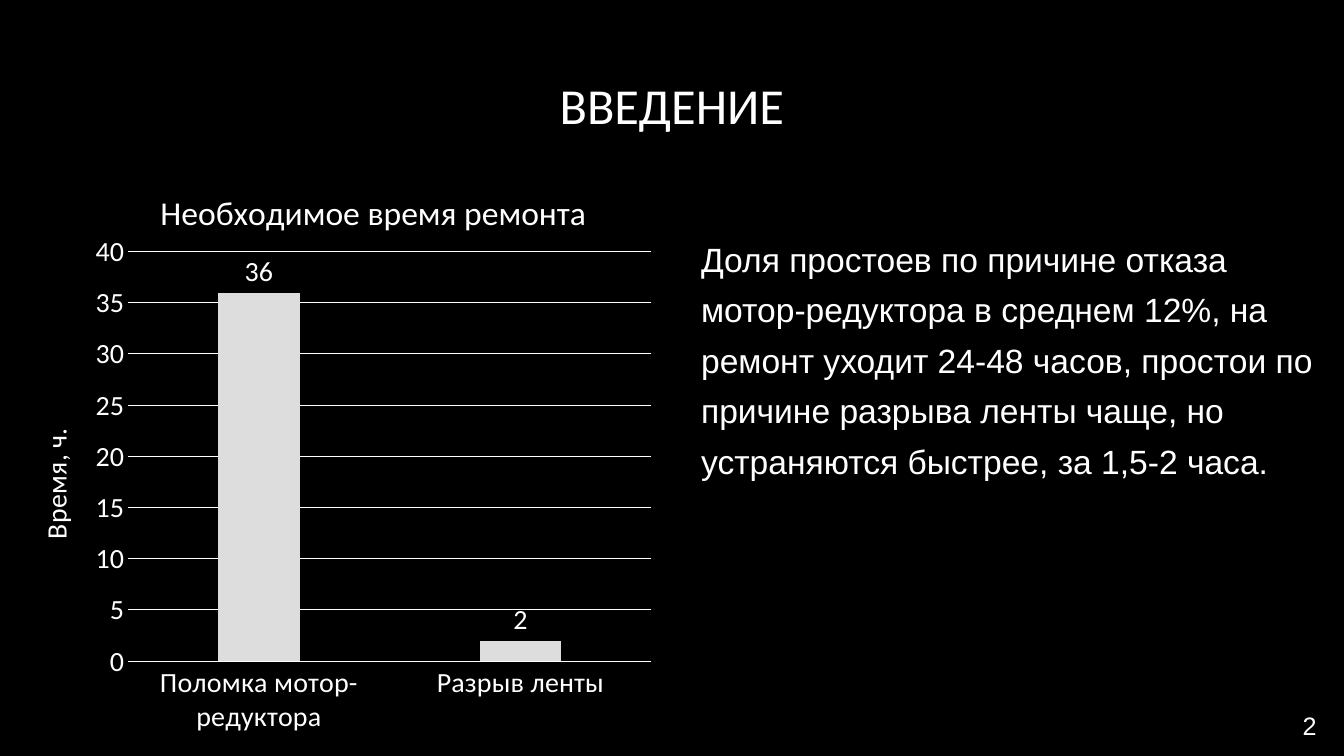
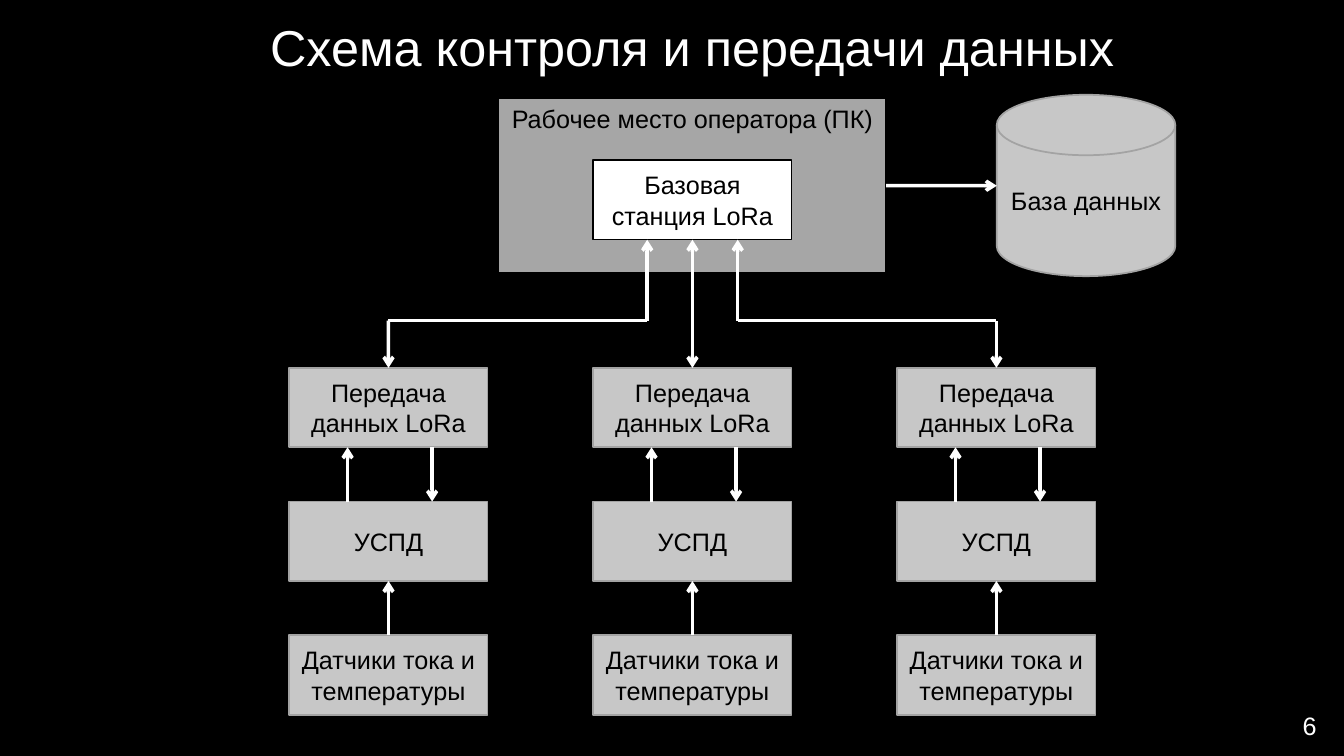
import collections

import pptx
import pptx.chart.data
import pptx.dml.color
import pptx.enum.chart
import pptx.enum.shapes
import pptx.enum.text
import pptx.oxml
import pptx.oxml.ns
import pptx.util
from pptx.util import Cm, Pt

COLORS = {
    "background": "000000",
    "light": "FFFFFF",
    "dark": "000000",
    "bar": "DDDDDD",
    "box": "C7C7C7",
    "box_edge": "A3A3A3",
    "workplace": "A6A6A6",
}
ALIGN = pptx.enum.text.PP_ALIGN
ANCHOR = pptx.enum.text.MSO_ANCHOR
SHAPE = pptx.enum.shapes.MSO_SHAPE
TOP, LEFT, BOTTOM, RIGHT = range(4)

Joint = collections.namedtuple("Joint", "box side")


def rgb(name):
    return pptx.dml.color.RGBColor.from_string(COLORS[name])


def add_child(parent, tag, **attributes):
    child = pptx.oxml.parse_xml(f"<{tag} {pptx.oxml.ns.nsdecls(tag.split(':')[0])}/>")
    for key, value in attributes.items():
        child.set(key, str(value))
    parent.append(child)
    return child


def set_layout(parent, index, **fractions):
    """Place a chart part by hand, in fractions of the chart frame."""
    for old in parent.findall(pptx.oxml.ns.qn("c:layout")):
        parent.remove(old)
    layout = add_child(parent, "c:layout")
    manual = add_child(layout, "c:manualLayout")
    if "w" in fractions:
        add_child(manual, "c:layoutTarget", val="inner")
    for mode in ("xMode", "yMode"):
        add_child(manual, f"c:{mode}", val="edge")
    for key, value in fractions.items():
        add_child(manual, f"c:{key}", val=value)
    parent.insert(index, layout)


class Deck:
    """Holds the shared style and the slide being drawn."""

    text_font = "Arial"
    chart_font = "Calibri"

    def __init__(self):
        self.presentation = pptx.Presentation()
        self.presentation.slide_width = Cm(33.87)
        self.presentation.slide_height = Cm(19.05)
        backdrop = self.presentation.slide_master.background.fill
        backdrop.solid()
        backdrop.fore_color.rgb = rgb("background")
        self.shapes = None

    def new_slide(self, number):
        layout = self.presentation.slide_layouts[6]
        self.shapes = self.presentation.slides.add_slide(layout).shapes
        self.text(str(number), (31.3, 17.77, 2.13, 1.02), 18,
                  align=ALIGN.RIGHT, anchor=ANCHOR.MIDDLE)

    def style_font(self, font, size, color="light", name=None):
        font.size = Pt(size)
        font.name = name or self.text_font
        font.color.rgb = rgb(color)

    def fill_frame(self, frame, words, size, color="light", font=None, align=ALIGN.LEFT,
                   anchor=ANCHOR.TOP, spacing=None, before=None):
        frame.word_wrap = True
        frame.vertical_anchor = anchor
        paragraph = frame.paragraphs[0]
        paragraph.alignment = align
        if spacing:
            paragraph.line_spacing = spacing
        if before:
            paragraph.space_before = Pt(before)
        run = paragraph.add_run()
        run.text = words
        self.style_font(run.font, size, color, font)

    def text(self, words, place, size, **style):
        textbox = self.shapes.add_textbox(*map(Cm, place))
        self.fill_frame(textbox.text_frame, words, size, **style)

    def title(self, words, place, **style):
        self.text(words, place, 36, align=ALIGN.CENTER, **style)

    def box(self, words, place, fill="box", edge="box_edge", edge_width=1.25,
            kind=SHAPE.RECTANGLE, anchor=ANCHOR.MIDDLE):
        box = self.shapes.add_shape(kind, *map(Cm, place))
        box.shadow.inherit = False
        box.fill.solid()
        box.fill.fore_color.rgb = rgb(fill)
        box.line.color.rgb = rgb(edge)
        box.line.width = Pt(edge_width)
        self.fill_frame(box.text_frame, words, 18, "dark", align=ALIGN.CENTER,
                        anchor=anchor)
        return box

    def line(self, start, end, arrows=("tailEnd",)):
        """Draw a line between two ends, each a point in cm or a Joint."""
        points = [(0, 0) if isinstance(spot, Joint) else spot for spot in (start, end)]
        connector = self.shapes.add_connector(
            pptx.enum.shapes.MSO_CONNECTOR.STRAIGHT, *map(Cm, points[0] + points[1]))
        if isinstance(start, Joint):
            connector.begin_connect(*start)
        if isinstance(end, Joint):
            connector.end_connect(*end)
        connector.line.color.rgb = rgb("light")
        connector.line.width = Pt(2.5)
        properties = connector._element.spPr
        outline = properties.find(pptx.oxml.ns.qn("a:ln"))
        for arrow in arrows:
            add_child(outline, f"a:{arrow}", type="arrow")
        add_child(properties, "a:effectLst")

    def chart_label(self, frame, words, size):
        run = frame.paragraphs[0].add_run()
        run.text = words
        self.style_font(run.font, size, name=self.chart_font)
        run.font.bold = False

    def column_chart(self, heading, unit, values, place):
        data = pptx.chart.data.CategoryChartData()
        data.categories = list(values)
        data.add_series("Series 1", list(values.values()))
        kinds = pptx.enum.chart
        chart = self.shapes.add_chart(
            kinds.XL_CHART_TYPE.COLUMN_CLUSTERED, *map(Cm, place), data).chart
        self.style_font(chart.font, 20, name=self.chart_font)
        chart.has_legend = False
        chart.has_title = True
        self.chart_label(chart.chart_title.text_frame, heading, 24)
        set_layout(chart.chart_title._element, 1, x=0.21, y=0.03)
        set_layout(chart._chartSpace.chart.plotArea, 0, x=0.17, y=0.15, w=0.8, h=0.73)

        for axis in (chart.category_axis, chart.value_axis):
            axis.major_tick_mark = kinds.XL_TICK_MARK.NONE
            axis.minor_tick_mark = kinds.XL_TICK_MARK.NONE
            self.style_font(axis.tick_labels.font, 20, name=self.chart_font)
        scale = chart.value_axis
        scale.minimum_scale, scale.maximum_scale, scale.major_unit = 0, 40, 5
        scale.has_major_gridlines = True
        scale.format.line.fill.background()
        scale.has_title = True
        self.chart_label(scale.axis_title.text_frame, unit, 20)
        for rule in (chart.category_axis.format.line, scale.major_gridlines.format.line):
            rule.color.rgb = rgb("light")
            rule.width = Pt(0.75)

        plot = chart.plots[0]
        plot.vary_by_categories = False
        plot.gap_width, plot.overlap = 219, -27
        bars = plot.series[0]
        bars.format.fill.solid()
        bars.format.fill.fore_color.rgb = rgb("bar")
        labels = bars.data_labels
        labels.show_value = True
        labels.position = kinds.XL_LABEL_POSITION.OUTSIDE_END
        self.style_font(labels.font, 20, name=self.chart_font)


def draw_introduction(deck):
    deck.new_slide(2)
    deck.title("ВВЕДЕНИЕ", (3.18, 0.66, 27.51, 4.11), font="Calibri",
               anchor=ANCHOR.MIDDLE, spacing=0.9)
    deck.text("Доля простоев по причине отказа мотор-редуктора в среднем 12%, "
              "на ремонт уходит 24-48 часов, простои по причине разрыва ленты чаще, "
              "но устраняются быстрее, за 1,5-2 часа.",
              (17.42, 5.64, 16, 9.83), 24, spacing=1.25, before=10)
    deck.column_chart("Необходимое время ремонта", "Время, ч.",
                      {"Поломка мотор-редуктора": 36, "Разрыв ленты": 2},
                      (0.43, 4.22, 16.48, 14.27))


def draw_data_scheme(deck):
    deck.new_slide(6)
    deck.title("Схема контроля и передачи данных", (3.53, 0.13, 27.84, 2.08),
               spacing=1.1, before=10)

    width, height = 5, 2
    first_left, column_step = 7.29, 7.66
    first_top, row_step = 9.27, 3.37
    middle = first_left + column_step + width / 2
    station_top, bend_y, bend_offset = 4.04, 8.08, 1.14

    workplace = deck.box("Рабочее место оператора (ПК)", (middle - 4.88, 2.49, 9.76, 4.37),
                         "workplace", "dark", 0.75, anchor=ANCHOR.TOP)
    station = deck.box("Базовая станция LoRa",
                       (middle - width / 2, station_top, width, height), "light", "dark")
    deck.box("База данных", (25.12, 2.39, 4.5, 4.57), kind=SHAPE.FLOWCHART_MAGNETIC_DISK)
    deck.line(Joint(workplace, RIGHT), (25.12, 4.68))

    stages = ("Передача данных LoRa", "УСПД", "Датчики тока и температуры")
    for column in range(3):
        left = first_left + column * column_step
        sender, collector, sensors = [
            deck.box(stage, (left, first_top + row * row_step, width, height))
            for row, stage in enumerate(stages)]
        deck.line(Joint(sensors, TOP), Joint(collector, BOTTOM))

        sender_bottom, collector_top = first_top + height, first_top + row_step
        deck.line((left + 1.47, collector_top), (left + 1.47, sender_bottom))
        deck.line((left + 3.6, sender_bottom), (left + 3.6, collector_top))

        if column == 1:
            deck.line(Joint(sender, TOP), Joint(station, BOTTOM), ("headEnd", "tailEnd"))
            continue
        center = left + width / 2
        bend_x = middle + (column - 1) * bend_offset
        deck.line(Joint(sender, TOP), (center, bend_y), ("headEnd",))
        deck.line((center, bend_y), (bend_x, bend_y), ())
        deck.line((bend_x, bend_y), (bend_x, station_top + height))


def main():
    deck = Deck()
    draw_introduction(deck)
    draw_data_scheme(deck)
    deck.presentation.save("out.pptx")


if __name__ == "__main__":
    main()
